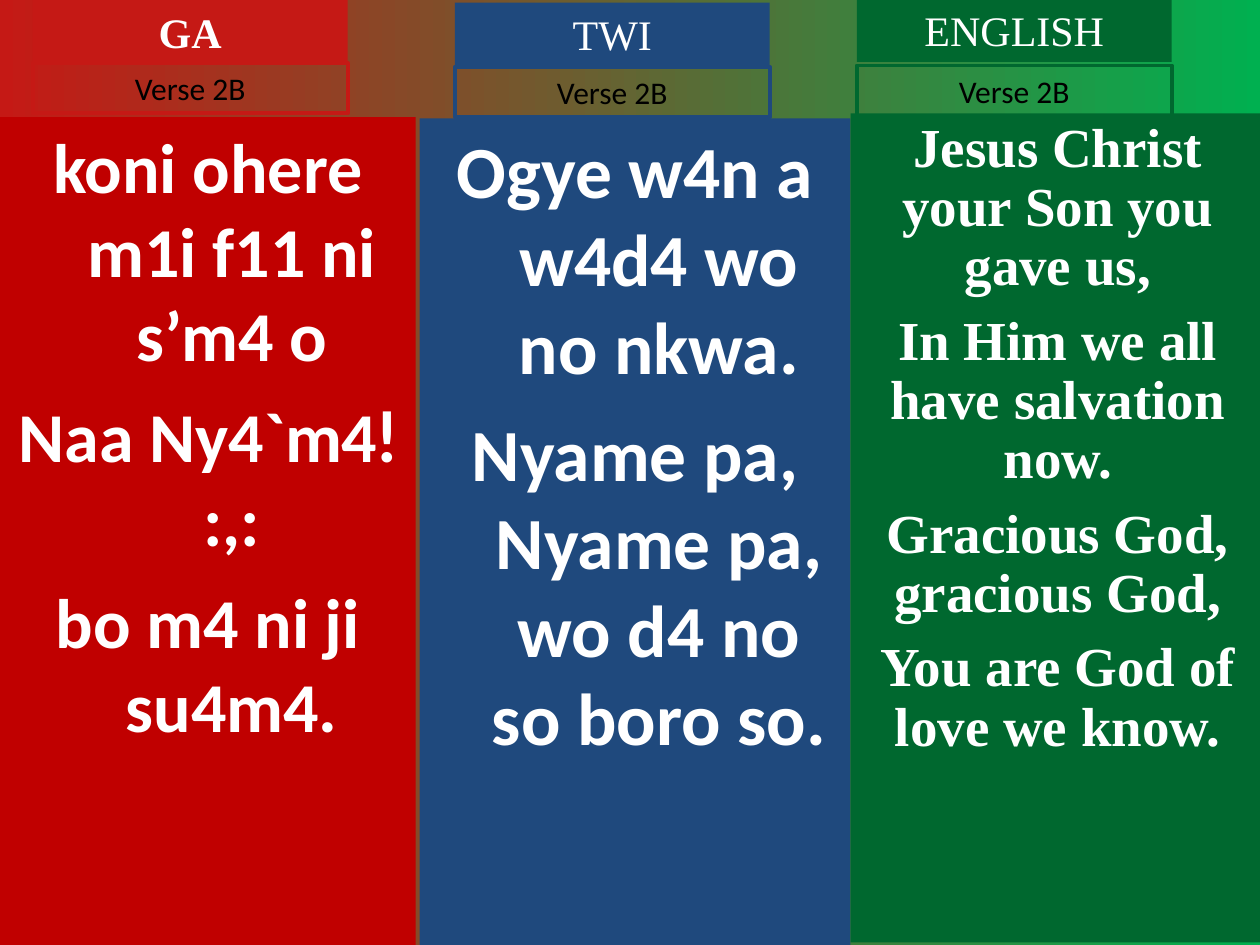
from pptx import Presentation
from pptx.dml.color import RGBColor
from pptx.enum.shapes import MSO_SHAPE
from pptx.enum.text import MSO_ANCHOR, PP_ALIGN
from pptx.util import Inches, Pt

THEME = {
    "red": "C00000", "bright_red": "C51915", "blue": "1F497D",
    "green": "00682F", "bright_green": "00B050",
    "white": "FFFFFF", "black": "000000",
    "sans": "Calibri", "accent": "Lato", "serif": "Times New Roman",
    "title": 24, "verse": 18, "ga": 40, "twi": 42, "english": 31.4,
}

deck = Presentation()
deck.slide_width, deck.slide_height = Inches(10), Inches(7.5)
slide = deck.slides.add_slide(deck.slide_layouts[6])
column, row = deck.slide_width / 100, deck.slide_height / 100


def color(name):
    return RGBColor.from_string(THEME[name])


def panel(place, lines, size, font, ink, fill=None, line=None, bold=False,
          gap=0, hang=0, spacing=None):
    left, top, width, height = place
    box = slide.shapes.add_shape(
        MSO_SHAPE.RECTANGLE, round(left * column), round(top * row),
        round(width * column), round(height * row))
    box.shadow.inherit = False
    if fill:
        box.fill.solid()
        box.fill.fore_color.rgb = color(fill)
    else:
        box.fill.background()
    if line:
        box.line.color.rgb = color(line)
        box.line.width = Pt(2.25)
    else:
        box.line.fill.background()
    frame = box.text_frame
    frame.word_wrap = True
    frame.vertical_anchor = MSO_ANCHOR.TOP
    for index, pieces in enumerate(lines):
        paragraph = frame.add_paragraph() if index else frame.paragraphs[0]
        paragraph.alignment = PP_ALIGN.CENTER
        paragraph.space_before = Pt(gap if index else 0)
        if spacing:
            paragraph.line_spacing = spacing
        if hang:
            properties = paragraph._p.get_or_add_pPr()
            properties.set("marL", str(Inches(hang)))
            properties.set("indent", str(-Inches(hang)))
        for words, *other_font in pieces:
            run = paragraph.add_run()
            run.text = words
            run.font.name = THEME[other_font[0] if other_font else font]
            run.font.size = Pt(THEME[size])
            run.font.bold = bold
            run.font.color.rgb = color(ink)


backdrop = slide.background.fill
backdrop.gradient()
backdrop.gradient_angle = 0
for stop, tone in zip(backdrop.gradient_stops, ("bright_red", "bright_green")):
    stop.color.rgb = color(tone)

ga_lyrics = [
    [("koni ohere m1i f11 ni s’m4 o",)],
    [("Naa Ny4`m4",), ("!", "accent"), (" :,:",)],
    [("bo m4 ni ji su4m4.",)],
]
twi_lyrics = [
    [("Ogye w4n a w4d4 wo no nkwa.",)],
    [("Nyame pa, Nyame pa, wo d4 no so boro so.",)],
]
english_lyrics = [
    [("Jesus Christ your Son you gave us,",)],
    [("In Him we all have salvation now.",)],
    [("Gracious God, gracious God,",)],
    [("You are God of love we know.",)],
]

lyrics = [
    ((0, 12.4, 33, 87.6), ga_lyrics, "ga", "sans", "red", 10, 0.38, None),
    ((33.3, 12.53, 34.2, 87.47), twi_lyrics, "twi", "sans", "blue", 10.5, 0.38, None),
    ((67.5, 12, 32.9, 87.73), english_lyrics, "english", "serif", "green", 8.5, 0, 0.9),
]
for place, lines, size, font, fill, gap, hang, spacing in lyrics:
    panel(place, lines, size, font, "white", fill=fill, bold=True,
          gap=gap, hang=hang, spacing=spacing)

headings = [
    ("GA", 2.6, 0, 6.67, "bright_red", True),
    ("TWI", 36.1, 0.27, 7.07, "blue", False),
    ("ENGLISH", 68, -0.13, 6.93, "green", False),
]
for language, left, title_top, verse_top, tone, bold in headings:
    panel((left, title_top, 25, 6.67), [[(language,)]], "title", "serif",
          "white", fill=tone, bold=bold)
    panel((left, verse_top, 25, 5.33), [[("Verse 2B",)]], "verse", "sans",
          "black", line=tone)

deck.save("out.pptx")
